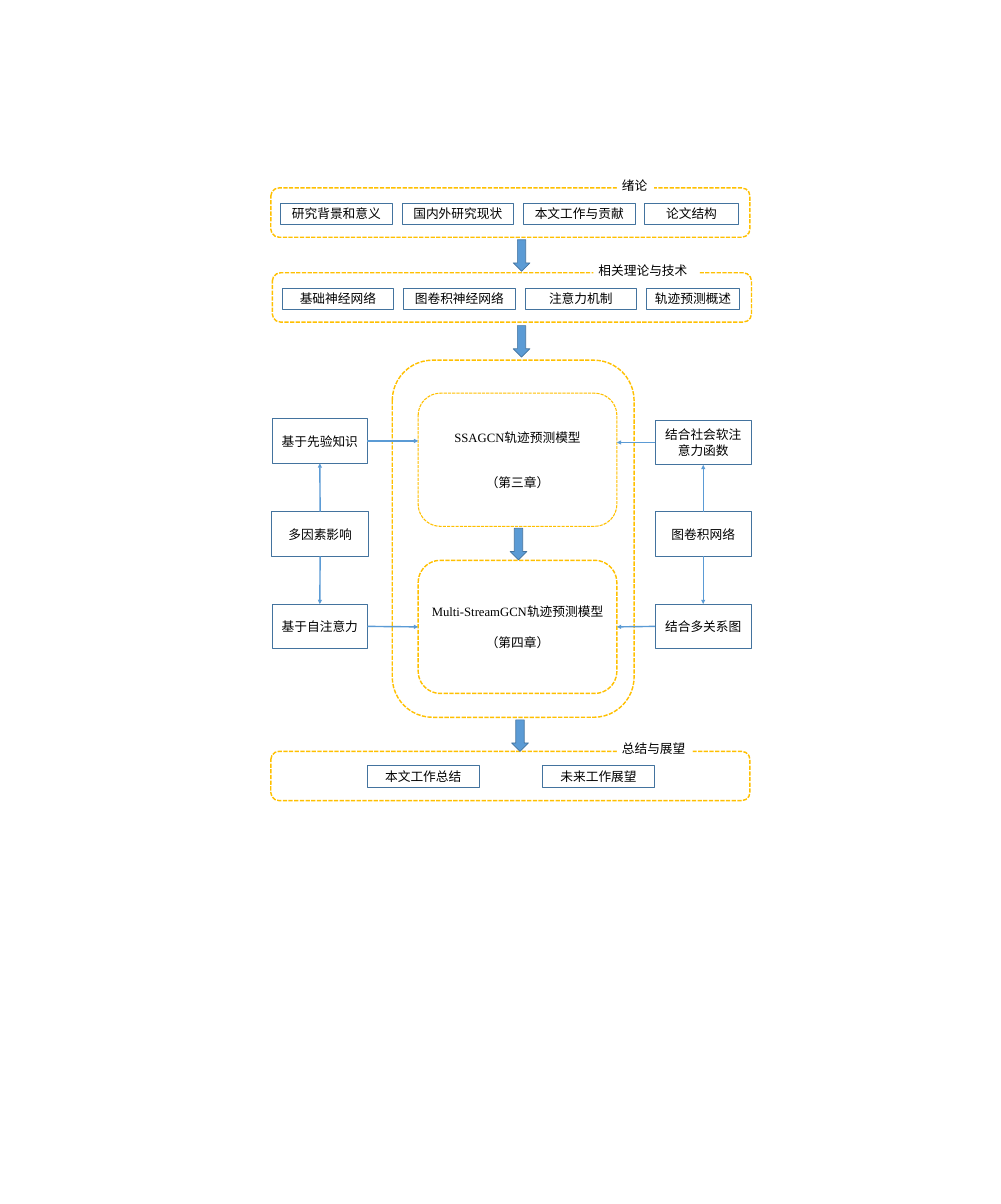
from pptx import Presentation
from pptx.dml.color import RGBColor
from pptx.enum.dml import MSO_LINE
from pptx.enum.lang import MSO_LANGUAGE_ID as Lang
from pptx.enum.shapes import MSO_CONNECTOR, MSO_SHAPE
from pptx.enum.text import MSO_ANCHOR, MSO_AUTO_SIZE, PP_ALIGN
from pptx.oxml.ns import qn
from pptx.util import Pt
from lxml.etree import SubElement

SCALE = 9144
TOP, LEFT, BOTTOM, RIGHT = range(4)
COLORS = {
    "paper": "FFFFFF",
    "ink": "000000",
    "frame": "FFC000",
    "edge": "43739E",
    "flow": "5B9BD5",
}
BODY, LATIN, HAN = "Calibri", "Times New Roman", "Noto Sans CJK SC"


def px(value):
    return round(value * SCALE)


def color(name):
    return RGBColor.from_string(COLORS[name])


class Diagram:
    def __init__(self, width, height):
        self.deck = Presentation()
        self.deck.slide_width = px(width)
        self.deck.slide_height = px(height)
        self.slide = self.deck.slides.add_slide(self.deck.slide_layouts[6])

    def block(self, preset, area, fill="paper", line=None, weight=1):
        block = self.slide.shapes.add_shape(preset, *map(px, area))
        block.shadow.inherit = False
        block.fill.solid()
        block.fill.fore_color.rgb = color(fill)
        if line:
            block.line.color.rgb = color(line)
            block.line.width = Pt(weight)
        else:
            block.line.fill.background()
        return block

    def add_text(self, block, paragraphs, gap=0, align=PP_ALIGN.CENTER,
                 anchor=MSO_ANCHOR.MIDDLE):
        frame = block.text_frame
        frame.word_wrap = True
        frame.vertical_anchor = anchor
        for index, runs in enumerate(paragraphs):
            paragraph = frame.add_paragraph() if index else frame.paragraphs[0]
            paragraph.alignment = align
            if index:
                paragraph.space_before = Pt(gap)
            for text, font in runs:
                run = paragraph.add_run()
                run.text = text
                run.font.name = font
                run.font.size = Pt(18)
                run.font.language_id = Lang.SIMPLIFIED_CHINESE
                run.font.color.rgb = color("ink")

    def frame(self, *area, weight=2):
        frame = self.block(MSO_SHAPE.ROUNDED_RECTANGLE, area, line="frame", weight=weight)
        frame.line.dash_style = MSO_LINE.SQUARE_DOT
        return frame

    def box(self, text, *area, font=BODY):
        box = self.block(MSO_SHAPE.RECTANGLE, area, line="edge")
        self.add_text(box, [[(text, font)]])
        return box

    def title(self, text, *area):
        title = self.block(MSO_SHAPE.RECTANGLE, area)
        self.add_text(title, [[(text, BODY)]], align=PP_ALIGN.LEFT, anchor=MSO_ANCHOR.TOP)
        title.text_frame.auto_size = MSO_AUTO_SIZE.SHAPE_TO_FIT_TEXT

    def section(self, left, top, heading, heading_left, heading_width, topics, drop=30):
        self.frame(left, top, 943, 97)
        for text, topic_left, width in topics:
            self.box(text, topic_left, top + drop, width, 42)
        self.title(heading, heading_left, top - 25, heading_width, 40)

    def model(self, name, chapter, top, weight, gap):
        model = self.frame(823, top, 391, 262, weight=weight)
        self.add_text(model, [[(name, LATIN), ("轨迹预测模型", HAN)], [(chapter, BODY)]], gap)
        return model

    def down_arrow(self, left, top):
        self.block(MSO_SHAPE.DOWN_ARROW, (left, top, 33, 62), fill="flow", line="edge")

    def link(self, source, source_side, target=None, target_side=None, end=(0, 0)):
        link = self.slide.shapes.add_connector(
            MSO_CONNECTOR.STRAIGHT, 0, 0, px(end[0]), px(end[1]))
        link.begin_connect(source, source_side)
        if target is not None:
            link.end_connect(target, target_side)
        link.line.color.rgb = color("flow")
        link.line.width = Pt(2)
        properties = link.element.spPr
        SubElement(properties.find(qn("a:ln")), qn("a:tailEnd"), type="triangle")
        SubElement(properties, qn("a:effectLst"))


def topic_row(left, names):
    widths = [220, 220, 220, 184]
    return [(name, left + 239 * i, widths[i]) for i, name in enumerate(names)]


def main():
    thesis = Diagram(1970, 2370)
    thesis.section(533, 370, "绪论", 1214, 73, topic_row(
        552, ["研究背景和意义", "国内外研究现状", "本文工作与贡献", "论文结构"]))
    thesis.section(536, 537, "相关理论与技术", 1168, 209, topic_row(
        555, ["基础神经网络", "图卷积神经网络", "注意力机制", "轨迹预测概述"]))

    thesis.frame(772, 709, 476, 703)
    ssagcn = thesis.model("SSAGCN", "（第三章）", 774, 1.5, 43)
    multi_stream = thesis.model("Multi-StreamGCN", "（第四章）", 1103, 2, 22)

    factors = thesis.box("多因素影响", 535, 1007, 190, 88)
    prior = thesis.box("基于先验知识", 536, 824, 187, 88)
    attention = thesis.box("基于自注意力", 536, 1189, 187, 88)
    relations = thesis.box("结合多关系图", 1289, 1189, 190, 88)
    social = thesis.box("结合社会软注意力函数", 1289, 827, 190, 88, font=LATIN)
    graph_network = thesis.box("图卷积网络", 1289, 1007, 190, 88)

    thesis.section(533, 1479, "总结与展望", 1214, 149, [
        ("本文工作总结", 723, 220), ("未来工作展望", 1068, 220)], drop=28)

    for left, top in [(1010, 472), (1010, 641), (1004, 1040), (1007, 1417)]:
        thesis.down_arrow(left, top)

    ssagcn_left = ssagcn.left // SCALE
    ssagcn_right = (ssagcn.left + ssagcn.width) // SCALE
    thesis.link(prior, RIGHT, end=(ssagcn_left, 868))
    thesis.link(social, LEFT, end=(ssagcn_right, 871))
    thesis.link(attention, RIGHT, multi_stream, LEFT)
    thesis.link(relations, LEFT, multi_stream, RIGHT)
    for origin, upper, lower in [(factors, prior, attention),
                                 (graph_network, social, relations)]:
        thesis.link(origin, TOP, upper, BOTTOM)
        thesis.link(origin, BOTTOM, lower, TOP)

    thesis.deck.save("out.pptx")


if __name__ == "__main__":
    main()
